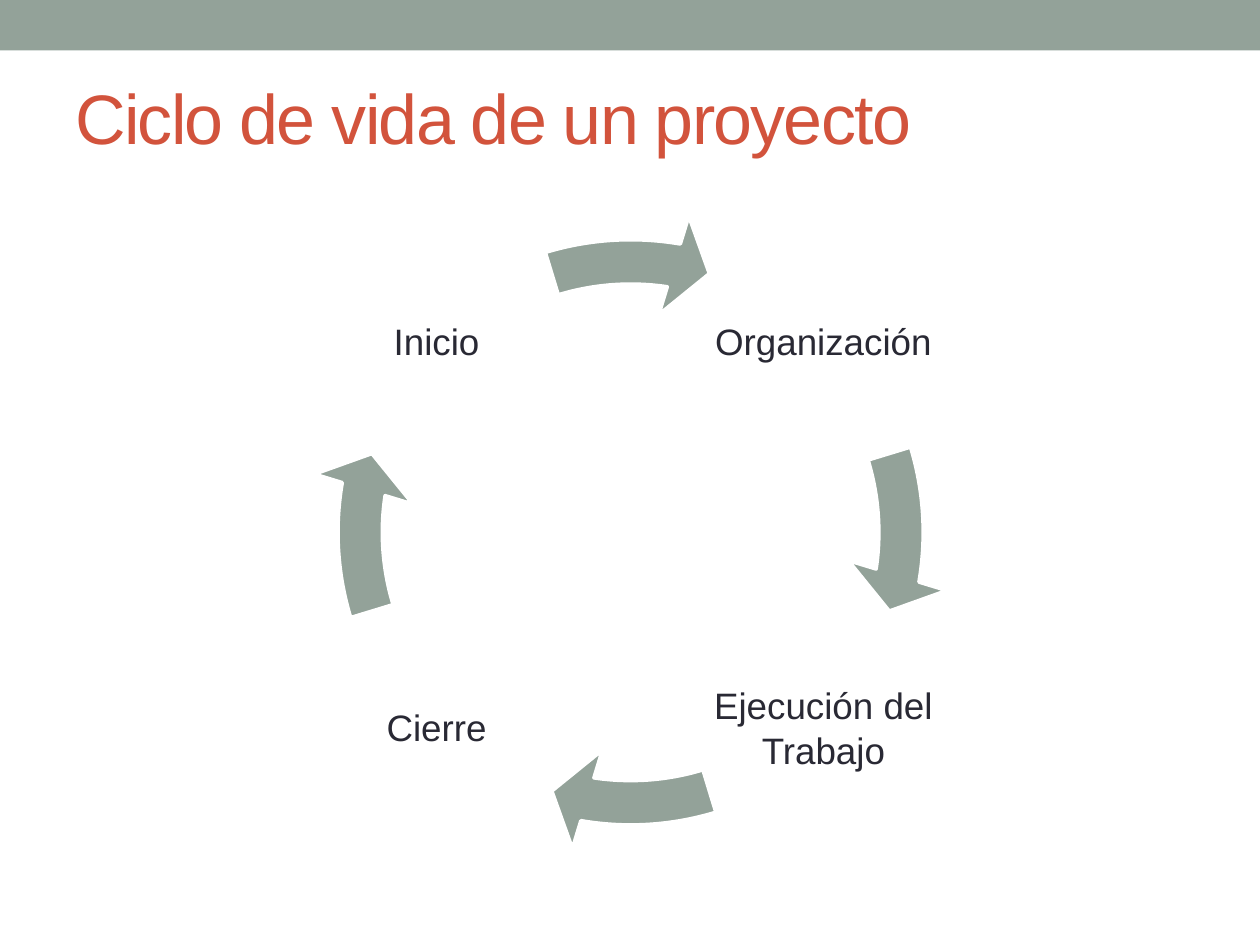
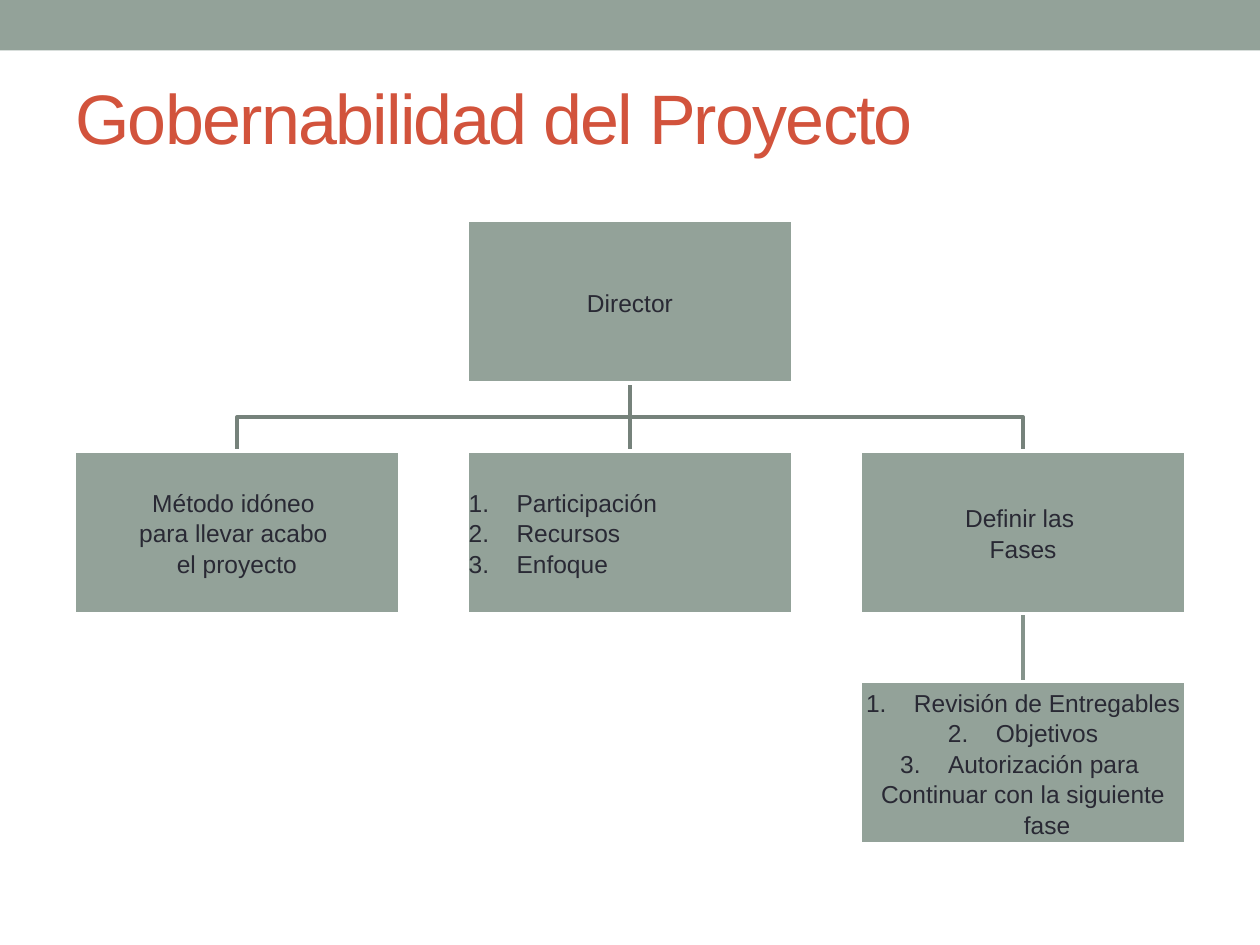
"""Builds two slides on project work: its life cycle and its governance."""
from dataclasses import dataclass

from lxml import etree
from pptx import Presentation
from pptx.dml.color import RGBColor
from pptx.enum.shapes import MSO_CONNECTOR as Link, MSO_SHAPE as Shape
from pptx.enum.text import MSO_ANCHOR as Anchor, PP_ALIGN as Align
from pptx.oxml.ns import qn
from pptx.util import Inches, Pt


@dataclass(frozen=True)
class Theme:
    font: str = "Arial"
    sage: RGBColor = RGBColor.from_string("93A299")
    title: RGBColor = RGBColor.from_string("D2533C")
    ink: RGBColor = RGBColor.from_string("292934")
    white: RGBColor = RGBColor.from_string("FFFFFF")
    branch: RGBColor = RGBColor.from_string("76827B")
    twig: RGBColor = RGBColor.from_string("85938B")
    title_size: int = 40
    stage_size: int = 21
    box_size: int = 14
    line: float = 2.08
    spacing: float = 1.04


THEME = Theme()

CYCLE_TITLE = "Ciclo de vida de un proyecto"
STAGES = [
    ("Organización", 1, 0),
    ("Ejecución del Trabajo", 1, 1),
    ("Cierre", 0, 1),
    ("Inicio", 0, 0),
]
STAGE_LEFT, STAGE_TOP, STAGE_SIZE, STAGE_STEP = 2.56, 1.79, 1.81, 3.07
RING = (2.45, 1.67, 5.11, 5.11)
RING_BAND, RING_HEAD, RING_HEAD_WIDTH = 0.069, 4.649, 0.08
ARROW_END, ARROW_START, QUARTER = 5.515, 205.836, 54

CHART_TITLE = "Gobernabilidad del Proyecto"
CHART_BOXES = {
    "director": (1, 0, Align.CENTER, 0, ["Director"]),
    "method": (0, 1, Align.CENTER, 0,
               ["Método idóneo ", "para llevar acabo ", "el proyecto"]),
    "focus": (1, 1, Align.LEFT, 3, ["Participación", "Recursos", "Enfoque"]),
    "phases": (2, 1, Align.CENTER, 0, ["Definir las ", "Fases"]),
    "review": (2, 2, Align.CENTER, 3,
               ["Revisión de Entregables", "Objetivos", "Autorización para ",
                "Continuar con la siguiente fase"]),
}
STRAIGHT_LINKS = [("director", "focus", THEME.branch), ("phases", "review", THEME.twig)]
ELBOW_LINKS = [("director", "method"), ("director", "phases")]
BOX_LEFT, BOX_TOP, BOX_WIDTH, BOX_HEIGHT = 0.59, 1.75, 2.58, 1.29
COLUMN_STEP, ROW_STEP = 3.12, 1.83
NUMBER_INDENT = 0.38


def inches(*lengths):
    return [Inches(length) for length in lengths]


def paint(shape, fill, outline=None):
    shape.shadow.inherit = False
    shape.fill.solid()
    shape.fill.fore_color.rgb = fill
    if outline is None:
        shape.line.fill.background()
    else:
        draw_line(shape, outline)


def draw_line(shape, color):
    shape.line.color.rgb = color
    shape.line.width = Pt(THEME.line)


def write(shape, lines, size, color, align=Align.CENTER, inset=0.01, numbered=0):
    frame = shape.text_frame
    frame.word_wrap = True
    frame.vertical_anchor = Anchor.MIDDLE
    frame.margin_left = frame.margin_right = Inches(inset)
    frame.margin_top = frame.margin_bottom = Inches(min(inset, 0.05))
    for index, line in enumerate(lines):
        para = frame.paragraphs[0] if index == 0 else frame.add_paragraph()
        para.alignment = align
        para.line_spacing = THEME.spacing
        span = para.add_run()
        span.text = line
        span.font.name = THEME.font
        span.font.size = Pt(size)
        span.font.color.rgb = color
        if numbered:
            number(para, index < numbered)
    return frame


def number(para, visible):
    props = para._p.get_or_add_pPr()
    props.set("marL", str(Inches(NUMBER_INDENT)))
    props.set("indent", str(-Inches(NUMBER_INDENT)))
    if visible:
        etree.SubElement(props, qn("a:buFont")).set("typeface", "+mj-lt")
        etree.SubElement(props, qn("a:buAutoNum")).set("type", "arabicPeriod")


def send_to_back(page, shape):
    page.shapes._spTree.insert(2, shape._element)


def add_page(deck, title):
    page = deck.slides.add_slide(deck.slide_layouts[6])
    band = page.shapes.add_shape(Shape.RECTANGLE, *inches(0, 0, 10, 0.4))
    paint(band, THEME.sage)
    box = page.shapes.add_textbox(*inches(0.5, 0.3, 9, 1.25))
    frame = write(box, [title], THEME.title_size, THEME.title, Align.LEFT, 0.1)
    para = frame.paragraphs[0]
    para.line_spacing = 1.0
    para.runs[0]._r.get_or_add_rPr().set("spc", "-100")
    return page


def build_cycle(deck):
    page = add_page(deck, CYCLE_TITLE)
    for turn, (stage, column, row) in enumerate(STAGES):
        left = STAGE_LEFT + column * STAGE_STEP
        top = STAGE_TOP + row * STAGE_STEP
        box = page.shapes.add_textbox(*inches(left, top, STAGE_SIZE, STAGE_SIZE))
        write(box, [stage], THEME.stage_size, THEME.ink, inset=0.03)
        arrow = page.shapes.add_shape(Shape.CIRCULAR_ARROW, *inches(*RING))
        paint(arrow, THEME.sage, THEME.white)
        end = ARROW_END + turn * QUARTER
        start = (ARROW_START + turn * QUARTER) % (4 * QUARTER)
        settings = (RING_BAND, RING_HEAD, end, start, RING_HEAD_WIDTH)
        for index, value in enumerate(settings):
            arrow.adjustments[index] = value


def join_straight(page, parent, child, color):
    link = page.shapes.add_connector(Link.STRAIGHT, 0, 0, 0, 0)
    link.begin_connect(parent, 2)
    link.end_connect(child, 0)
    draw_line(link, color)
    etree.SubElement(link._element.spPr, qn("a:effectLst"))
    send_to_back(page, link)


def join_elbow(page, parent, child):
    start_x = parent.left + parent.width // 2
    end_x = child.left + child.width // 2
    start_y = parent.top + parent.height
    middle_y = (start_y + child.top) // 2
    outline = page.shapes.build_freeform(start_x, start_y)
    outline.add_line_segments(
        [(start_x, middle_y), (end_x, middle_y), (end_x, child.top)], close=False)
    elbow = outline.convert_to_shape()
    elbow.shadow.inherit = False
    elbow.fill.background()
    draw_line(elbow, THEME.branch)
    send_to_back(page, elbow)


def build_chart(deck):
    page = add_page(deck, CHART_TITLE)
    boxes = {}
    for name, (column, row, align, numbered, lines) in CHART_BOXES.items():
        left = BOX_LEFT + column * COLUMN_STEP
        top = BOX_TOP + row * ROW_STEP
        box = page.shapes.add_shape(
            Shape.RECTANGLE, *inches(left, top, BOX_WIDTH, BOX_HEIGHT))
        paint(box, THEME.sage, THEME.white)
        write(box, lines, THEME.box_size, THEME.ink, align, numbered=numbered)
        boxes[name] = box
    for parent, child, color in STRAIGHT_LINKS:
        join_straight(page, boxes[parent], boxes[child], color)
    for parent, child in ELBOW_LINKS:
        join_elbow(page, boxes[parent], boxes[child])


def main():
    deck = Presentation()
    deck.slide_width, deck.slide_height = inches(10, 7.5)
    build_cycle(deck)
    build_chart(deck)
    deck.save("out.pptx")


if __name__ == "__main__":
    main()
